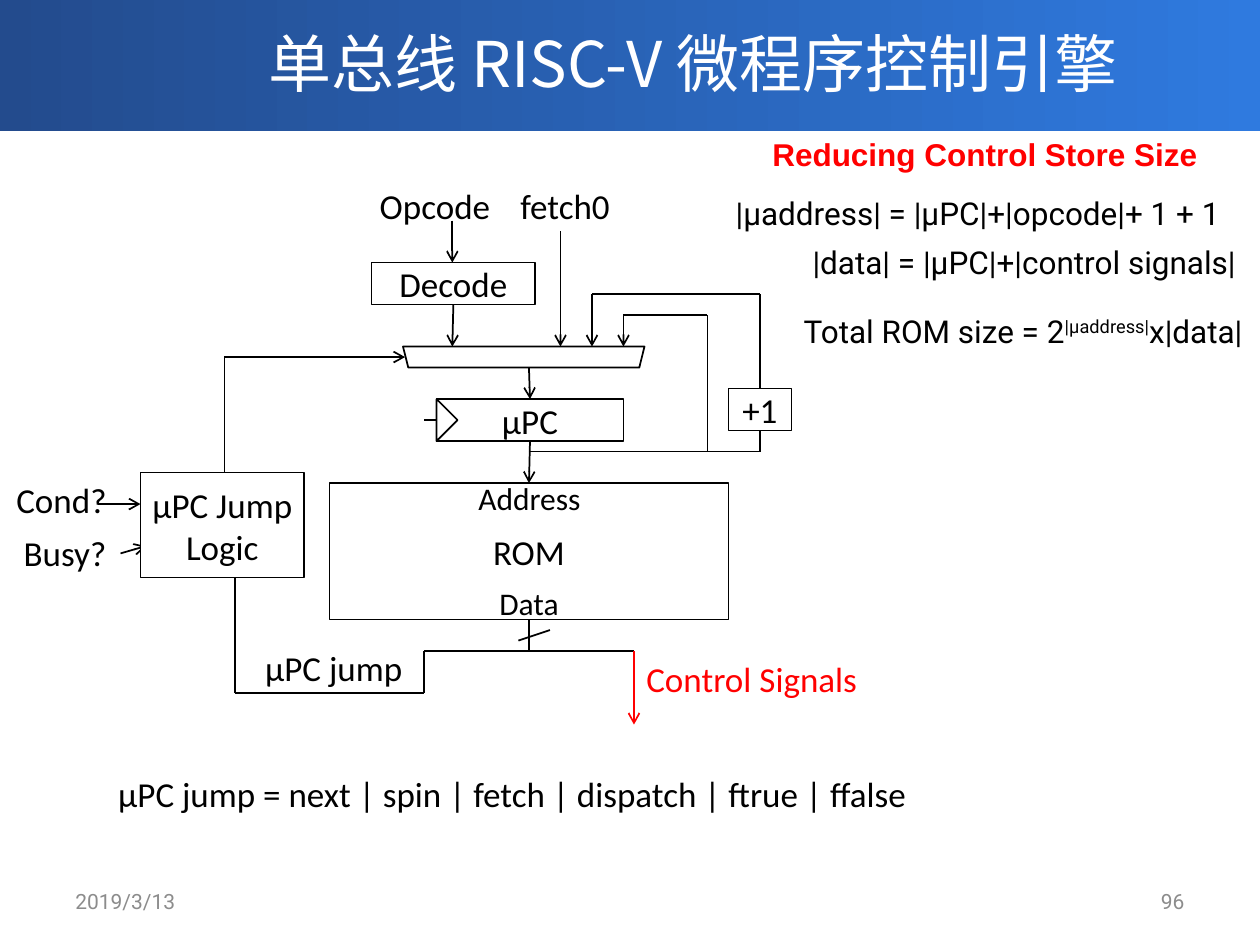
from itertools import pairwise

from lxml import etree
from pptx import Presentation
from pptx.dml.color import RGBColor
from pptx.enum.shapes import MSO_CONNECTOR, MSO_SHAPE
from pptx.enum.text import MSO_ANCHOR, MSO_AUTO_SIZE, PP_ALIGN
from pptx.oxml.ns import qn
from pptx.util import Cm, Pt

STRAIGHT = MSO_CONNECTOR.STRAIGHT
RECTANGLE, TRIANGLE, TRAPEZOID = (
    MSO_SHAPE.RECTANGLE, MSO_SHAPE.ISOSCELES_TRIANGLE, MSO_SHAPE.TRAPEZOID)
TOP, MIDDLE = MSO_ANCHOR.TOP, MSO_ANCHOR.MIDDLE
FIT_TEXT = MSO_AUTO_SIZE.SHAPE_TO_FIT_TEXT
LEFT, CENTER, RIGHT = PP_ALIGN.LEFT, PP_ALIGN.CENTER, PP_ALIGN.RIGHT

BLACK = RGBColor(0x00, 0x00, 0x00)
WHITE = RGBColor(0xFF, 0xFF, 0xFF)
RED = RGBColor(0xFF, 0x00, 0x00)
GREY = RGBColor(0x8C, 0x8C, 0x8C)
BANNER_DARK = RGBColor(0x23, 0x4B, 0x8D)
BANNER_LIGHT = RGBColor(0x2F, 0x7A, 0xDF)

TITLE_FONT = "Noto Sans CJK SC"
STEP = 2.54 / 12  # the diagram grid, in centimetres

# left, top, width, height in grid steps
BLOCKS = [
    ("µPC", (41.2, 21, 17.8, 4)),
    ("Decode", (35, 8, 15.6, 4)),
    ("ROM", (31, 29, 38, 13)),
    ("+1", (69, 20, 6, 4)),
    ("µPC Jump Logic", (13, 28, 15.6, 10)),
]
# left, top, width in grid steps, then text size and colour
LABELS = [
    ("Opcode", 34.6, 0, 13.1, 20, BLACK),
    ("fetch0", 48, 0, 11.2, 20, BLACK),
    ("Cond?", 0, 28, 11, 20, BLACK),
    ("Busy?", 0.7, 33, 10.4, 20, BLACK),
    ("Address", 44, 28, 12.4, 18, BLACK),
    ("Data", 46, 38, 8.2, 18, BLACK),
    ("µPC jump", 23.7, 44, 15.6, 20, BLACK),
    ("Control Signals", 60, 45, 22.8, 20, RED),
    ("µPC jump = next | spin | fetch | dispatch | ftrue | ffalse",
     9.7, 56, 78.4, 20, BLACK),
]
# corner points in grid steps
PLAIN_WIRES = [
    [(41.2, 23), (40, 23)],
    [(50, 42), (50, 45)],
    [(60, 45), (40, 45), (40, 49), (22, 49), (22, 38)],
    [(49, 44), (52, 43)],
    [(50, 26), (72, 26), (72, 24)],
]
ARROW_WIRES = [
    [(42.7, 4), (42.7, 8)],
    [(42.8, 12), (42.7, 16)],
    [(53, 5), (53, 16)],
    [(50, 18), (50.1, 21)],
    [(50.1, 25), (50, 29)],
    [(9, 31), (13, 31)],
    [(11.1, 35.7), (13.5, 35)],
    [(67, 26), (67, 13), (59, 13), (59, 16)],
    [(72, 20), (72, 11), (56, 11), (56, 16)],
    [(21, 28), (21, 17), (38.2, 17)],
]


def format_para(para, font, size, color, align=LEFT, bold=False):
    para.alignment = align
    para.font.name = font
    para.font.size = Pt(size)
    para.font.bold = bold
    para.font.color.rgb = color


def add_text(page, text, left, top, width, height, font, size, color,
             align=LEFT, bold=False, anchor=TOP):
    """Add a one-line text box, measured in centimetres; return its paragraph."""
    box = page.shapes.add_textbox(Cm(left), Cm(top), Cm(width), Cm(height))
    frame = box.text_frame
    frame.word_wrap = anchor == MIDDLE
    frame.vertical_anchor = anchor
    if anchor == TOP:
        frame.auto_size = FIT_TEXT
    para = frame.paragraphs[0]
    para.text = text
    format_para(para, font, size, color, align, bold)
    return para


def add_banner(page, left, top, width, height):
    banner = page.shapes.add_shape(
        RECTANGLE, Cm(left), Cm(top), Cm(width), Cm(height))
    banner.shadow.inherit = False
    banner.line.fill.background()
    banner.fill.gradient()
    banner.fill.gradient_angle = 0
    stops = banner.fill.gradient_stops
    stops[0].color.rgb, stops[1].color.rgb = BANNER_DARK, BANNER_LIGHT

    title = page.shapes.title
    title.element.addprevious(banner.element)
    title.left, title.top = Cm(left + 2.54), Cm(top)
    title.width, title.height = Cm(width - 2.54), Cm(height - 0.13)
    title.text_frame.vertical_anchor = MIDDLE
    para = title.text_frame.paragraphs[0]
    span = para.add_run()
    span.text = "单总线 RISC-V 微程序控制引擎"
    format_para(para, TITLE_FONT, 36, WHITE, CENTER)
    span.font.name = TITLE_FONT
    etree.SubElement(span.font._element, qn("a:ea"), typeface=TITLE_FONT)


def add_diagram(page, left, top):
    """Draw the microcode engine on a grid that starts at left, top."""
    def place_x(steps):
        return Cm(left + steps * STEP)

    def place_y(steps):
        return Cm(top + steps * STEP)

    def add_wire(points, arrow=False, color=BLACK):
        for start, end in pairwise(points):
            wire = page.shapes.add_connector(
                STRAIGHT, place_x(start[0]), place_y(start[1]),
                place_x(end[0]), place_y(end[1]))
            wire.line.color.rgb = color
            wire.line.width = Pt(1)
            properties = wire.element.spPr
            etree.SubElement(properties, qn("a:effectLst"))
            if arrow and end == points[-1]:
                etree.SubElement(
                    properties.find(qn("a:ln")), qn("a:tailEnd"), type="arrow")

    def add_block(kind, x, y, width, height, text="", rotation=0):
        block = page.shapes.add_shape(
            kind, place_x(x), place_y(y), Cm(width * STEP), Cm(height * STEP))
        block.shadow.inherit = False
        block.rotation = rotation
        block.fill.solid()
        block.fill.fore_color.rgb = WHITE
        block.line.color.rgb = BLACK
        block.line.width = Pt(1)
        if text:
            frame = block.text_frame
            frame.margin_left = frame.margin_right = 0
            frame.margin_top = frame.margin_bottom = 0
            frame.word_wrap = True
            frame.vertical_anchor = MIDDLE
            frame.text = text
            format_para(frame.paragraphs[0], "Calibri", 20, BLACK, CENTER)

    for points in PLAIN_WIRES:
        add_wire(points)
    for points in ARROW_WIRES:
        add_wire(points, arrow=True)
    add_wire([(60, 45), (60, 52)], arrow=True, color=RED)
    for text, place in BLOCKS:
        add_block(RECTANGLE, *place, text=text)
    add_block(TRIANGLE, 40.2, 22, 4, 2, rotation=90)
    add_block(TRAPEZOID, 38, 16, 23, 2, rotation=180)
    for text, x, y, width, size, color in LABELS:
        add_text(page, text, left + x * STEP, top + y * STEP, width * STEP,
                 size * 0.056, "Calibri", size, color)


def add_size_notes(page, left, top):
    """Write the heading and the control store formulas."""
    add_text(page, "Reducing Control Store Size", left + 0.74, top, 9.5, 1.02,
             "Arial", 18, RED, bold=True)
    formulas = [
        ("|µaddress| = |µPC|+|opcode|+ 1 + 1", 0, 1.19, 10.4),
        ("|data| = |µPC|+|control signals|", 1.55, 2.18, 9.86),
        ("Total ROM size = 2", 1.37, 3.56, 9.78),
    ]
    for text, x, y, width in formulas:
        para = add_text(page, text, left + x, top + y, width, 1.02,
                        "Roboto", 18, BLACK)
    exponent = para.add_run()
    exponent.text = "|µaddress|"
    exponent.font._element.set("baseline", "30000")
    para.add_run().text = "x|data|"


def add_footer(page, left, top, width):
    part = 5.92
    for text, x, align in [("2019/3/13", 0, LEFT), ("96", width - part, RIGHT)]:
        add_text(page, text, left + x, top, part, 1.02, "Roboto", 12, GREY,
                 align, anchor=MIDDLE)


def main():
    deck = Presentation()
    deck.slide_width, deck.slide_height = Cm(25.4), Cm(19.05)
    page = deck.slides.add_slide(deck.slide_layouts[5])
    add_banner(page, 0, 0, 25.4, 2.64)
    add_diagram(page, 0.08, 3.6)
    add_size_notes(page, 14.58, 2.6)
    add_footer(page, 1.27, 17.65, 22.86)
    deck.save("out.pptx")


if __name__ == "__main__":
    main()
